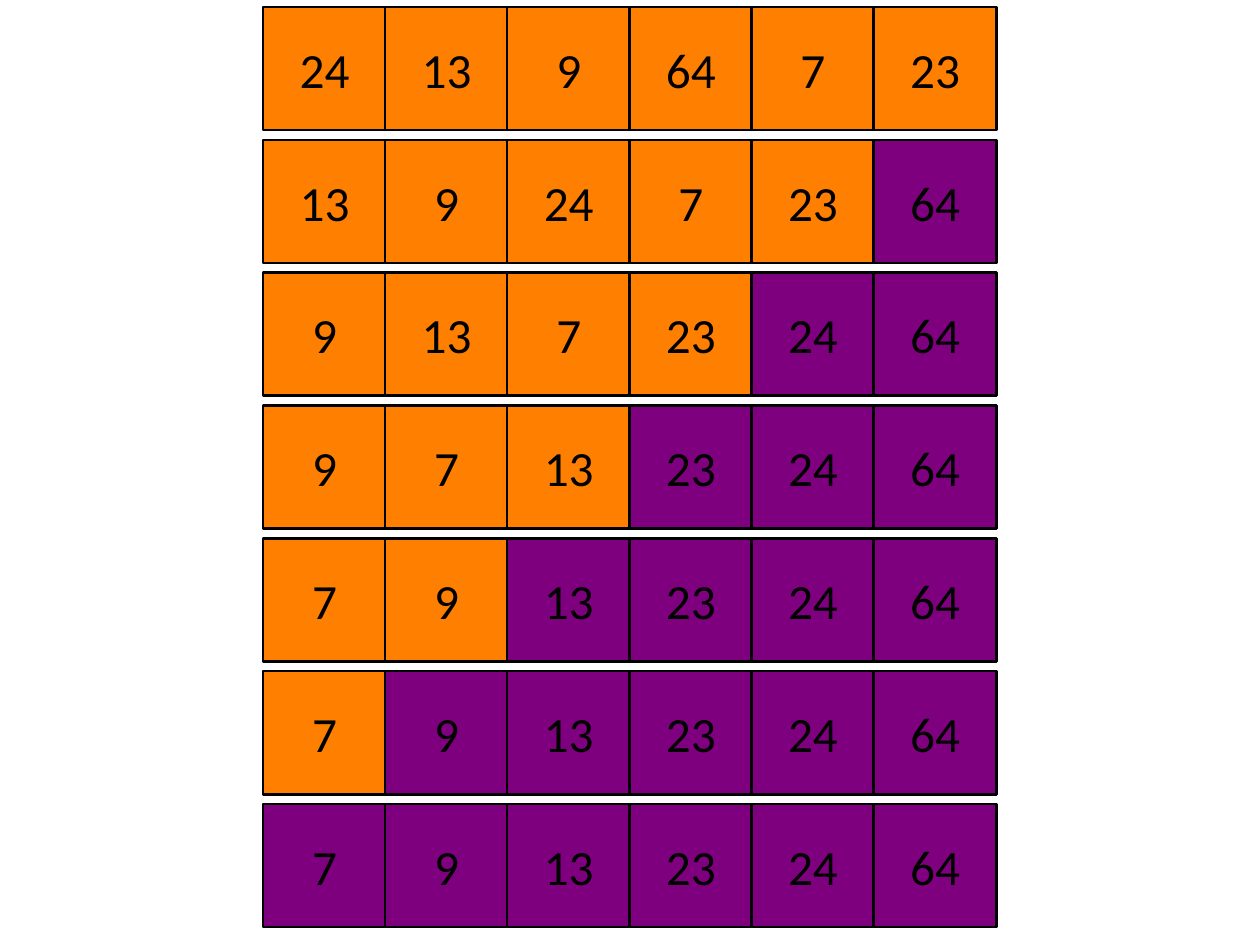
"""Draw the passes of a bubble sort, one row of boxes per pass."""
import pptx
import pptx.dml.color
import pptx.enum.shapes
import pptx.enum.text
import pptx.util

Cm = pptx.util.Cm
Pt = pptx.util.Pt
BLACK = pptx.dml.color.RGBColor(0x00, 0x00, 0x00)
ORANGE = pptx.dml.color.RGBColor(0xFF, 0x7F, 0x00)
PURPLE = pptx.dml.color.RGBColor(0x7F, 0x00, 0x7F)

START = [24, 13, 9, 64, 7, 23]
LEFT, TOP = 7.54, 0.2
SIDE = 3.53
STEP, DROP = 3.5, 3.81


def set_text(shape, text, font="Calibri", size=40, color=BLACK):
    frame = shape.text_frame
    frame.margin_left = frame.margin_right = 0
    frame.margin_top = frame.margin_bottom = 0
    frame.vertical_anchor = pptx.enum.text.MSO_ANCHOR.MIDDLE
    line = frame.paragraphs[0]
    line.alignment = pptx.enum.text.PP_ALIGN.CENTER
    run = line.add_run()
    run.text = text
    run.font.name = font
    run.font.size = Pt(size)
    run.font.color.rgb = color


def add_box(slide, left, top, value, fill):
    box = slide.shapes.add_shape(
        pptx.enum.shapes.MSO_SHAPE.RECTANGLE,
        Cm(left), Cm(top), Cm(SIDE), Cm(SIDE))
    box.shadow.inherit = False
    box.fill.solid()
    box.fill.fore_color.rgb = fill
    box.line.color.rgb = BLACK
    box.line.width = Pt(2)
    set_text(box, str(value))


def add_row(slide, top, values, done):
    for col, value in enumerate(values):
        fill = PURPLE if col >= len(values) - done else ORANGE
        add_box(slide, LEFT + col * STEP, top, value, fill)


def bubble(values):
    result = list(values)
    for i in range(len(result) - 1):
        result[i:i + 2] = sorted(result[i:i + 2])
    return result


def main():
    deck = pptx.Presentation()
    deck.slide_width, deck.slide_height = Cm(36.12), Cm(27.1)
    slide = deck.slides.add_slide(deck.slide_layouts[6])
    values = START
    for done in range(len(START) + 1):
        add_row(slide, TOP + done * DROP, values, done)
        values = bubble(values)
    deck.save("out.pptx")


if __name__ == "__main__":
    main()
